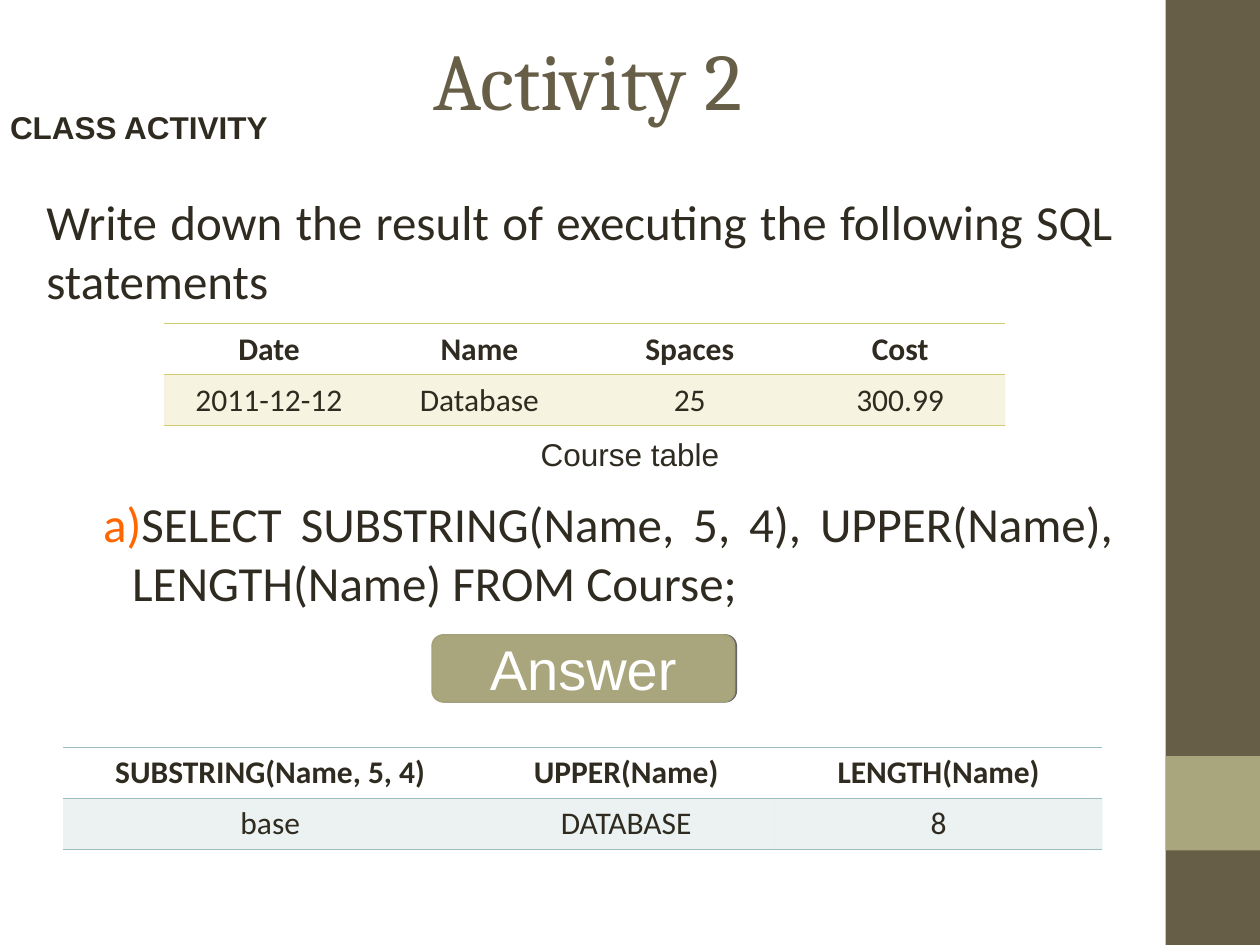
import pptx
import pptx.util
import pptx.oxml
import pptx.dml.color
import pptx.enum.shapes
import pptx.enum.text
from pptx.oxml.ns import qn
from lxml import etree

Inches = pptx.util.Inches
Pt = pptx.util.Pt
Align = pptx.enum.text.PP_ALIGN
Anchor = pptx.enum.text.MSO_ANCHOR
Shape = pptx.enum.shapes.MSO_SHAPE

COLORS = {
    "ink": "2F2B20", "brown": "675E47", "olive": "A9A57C", "edge": "A6A278",
    "gold": "D2CB6C", "teal": "9CBEBD", "orange": "FF6600",
    "white": "FFFFFF", "black": "000000",
}
NO_STYLE = "{2D5ABB26-0587-4C30-8999-92F81FD0307C}"


def rgb(name):
    return pptx.dml.color.RGBColor.from_string(COLORS[name])


def add_sub(parent, tag, **attrs):
    return etree.SubElement(parent, qn(tag), attrs)


def style(par, size, face, color="ink", align=Align.CENTER, bold=False):
    par.alignment = align
    font = par.font
    font.size, font.name, font.bold = Pt(size), face, bold
    font.color.rgb = rgb(color)


def add_text(slide, box, text, size, face, inset=(0.1, 0.05),
             anchor=Anchor.TOP, **look):
    frame = slide.shapes.add_textbox(*map(Inches, box)).text_frame
    frame.word_wrap = True
    frame.vertical_anchor = anchor
    frame.margin_left = frame.margin_right = Inches(inset[0])
    frame.margin_top = frame.margin_bottom = Inches(inset[1])
    par = frame.paragraphs[0]
    par.text = text
    style(par, size, face, **look)
    return par


def add_block(slide, box, fill, kind=Shape.RECTANGLE):
    shape = slide.shapes.add_shape(kind, *map(Inches, box))
    shape.shadow.inherit = False
    shape.fill.solid()
    shape.fill.fore_color.rgb = rgb(fill)
    shape.line.fill.background()
    return shape


def set_letter(par, color):
    """Give the paragraph a hanging a) label."""
    props = par._p.get_or_add_pPr()
    props.set("marL", str(Inches(0.68)))
    props.set("indent", str(Inches(-0.23)))
    tint = add_sub(props, "a:buClr")
    add_sub(tint, "a:srgbClr", val=COLORS[color])
    add_sub(props, "a:buFont", typeface="Calibri")
    add_sub(props, "a:buAutoNum", type="alphaLcParenR")


def set_cell(cell, text, head, color):
    par = cell.text_frame.paragraphs[0]
    par.text = text
    style(par, 18, "Calibri", bold=head)
    if head:
        cell.fill.background()
    else:
        cell.fill.solid()
        cell.fill.fore_color.rgb = rgb(color)
    props = cell._tc.get_or_add_tcPr()
    for tint in props.iter(qn("a:srgbClr")):
        add_sub(tint, "a:alpha", val="20000")
    # Rules above and below come before the fill
    for spot, side in enumerate(("a:lnT", "a:lnB")):
        line = add_sub(props, side, w=str(Pt(0.45)))
        add_sub(add_sub(line, "a:solidFill"), "a:srgbClr", val=COLORS[color])
        props.insert(spot, line)


def add_grid(slide, left, top, widths, rows, color):
    frame = slide.shapes.add_table(
        len(rows), len(widths), Inches(left), Inches(top),
        Inches(sum(widths)), Inches(0.405 * len(rows)))
    table = frame.table
    table.first_row = table.horz_banding = False
    table._tbl.tblPr.find(qn("a:tableStyleId")).text = NO_STYLE
    for col, width in zip(table.columns, widths):
        col.width = Inches(width)
    for r, row in enumerate(rows):
        for c, text in enumerate(row):
            set_cell(table.cell(r, c), text, r == 0, color)


def add_button(slide, box, text):
    shape = add_block(slide, box, "olive", Shape.ROUNDED_RECTANGLE)
    shape.line.color.rgb = rgb("edge")
    shape.line.width = Pt(1)
    glow = add_sub(shape._element.spPr.find(qn("a:effectLst")), "a:outerShdw",
                   blurRad="0", dist=str(Pt(1)), dir="0", rotWithShape="0")
    tint = add_sub(glow, "a:srgbClr", val=COLORS["black"])
    add_sub(tint, "a:alpha", val="60000")
    frame = shape.text_frame
    frame.vertical_anchor = Anchor.MIDDLE
    par = frame.paragraphs[0]
    par.text = text
    style(par, 32, "Arial", "white")


def main():
    deck = pptx.Presentation()
    deck.slide_width, deck.slide_height = Inches(10), Inches(7.5)
    slide = deck.slides.add_slide(deck.slide_layouts[6])

    # Side band
    add_block(slide, (9.25, 0, 0.75, 7.5), "brown")
    add_block(slide, (9.25, 6, 0.75, 0.75), "olive")

    # Headings
    add_text(slide, (0.5, 0, 8.33, 1.25), "Activity 2", 46, "Cambria",
             anchor=Anchor.MIDDLE, color="brown")
    label = add_text(slide, (0, 0.91, 8.94, 0.35), "CLASS ACTIVITY", 18,
                     "Arial", inset=(0.08, 0), align=Align.LEFT, bold=True)
    label.line_spacing = Pt(18)

    # Task and course table
    add_text(slide, (0.27, 1.47, 8.66, 1.05),
             "Write down the result of executing the following SQL statements",
             28, "Calibri", align=Align.JUSTIFY)
    add_grid(slide, 1.3, 2.57, [1.67] * 4,
             [("Date", "Name", "Spaces", "Cost"),
              ("2011-12-12", "Database", "25", "300.99")], "gold")
    add_text(slide, (3.93, 3.4, 2.14, 0.4), "Course table", 18, "Arial")

    # Query
    query = add_text(
        slide, (0.27, 3.87, 8.66, 1.05),
        "SELECT SUBSTRING(Name, 5, 4), UPPER(Name), LENGTH(Name) FROM Course;",
        28, "Calibri", align=Align.JUSTIFY)
    # The label goes ahead of the font defaults
    props = query._p.get_or_add_pPr()
    fonts = props.find(qn("a:defRPr"))
    set_letter(query, "orange")
    props.append(fonts)

    # Answer
    add_button(slide, (3.43, 5.04, 2.4, 0.53), "Answer")
    add_grid(slide, 0.5, 5.93, [3.29, 2.36, 2.6],
             [("SUBSTRING(Name, 5, 4)", "UPPER(Name)", "LENGTH(Name)"),
              ("base", "DATABASE", "8")], "teal")

    deck.save("out.pptx")


if __name__ == "__main__":
    main()
